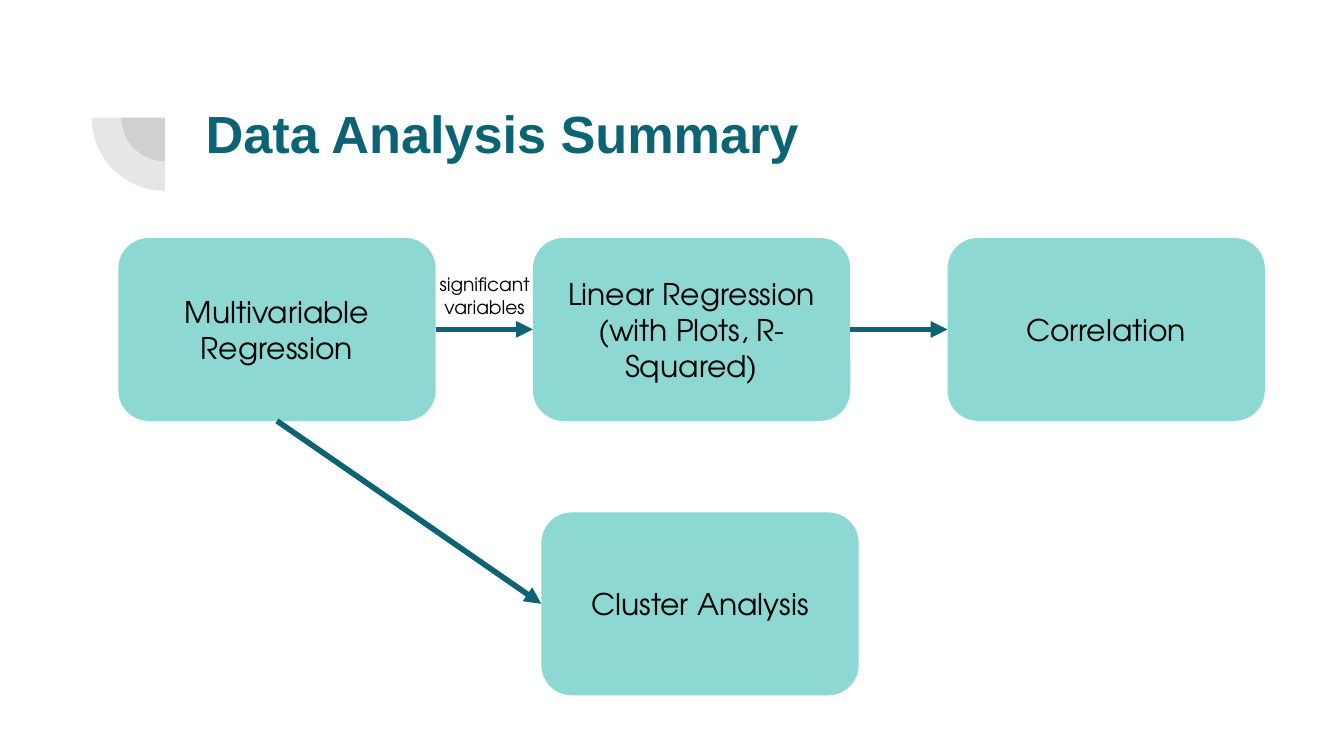
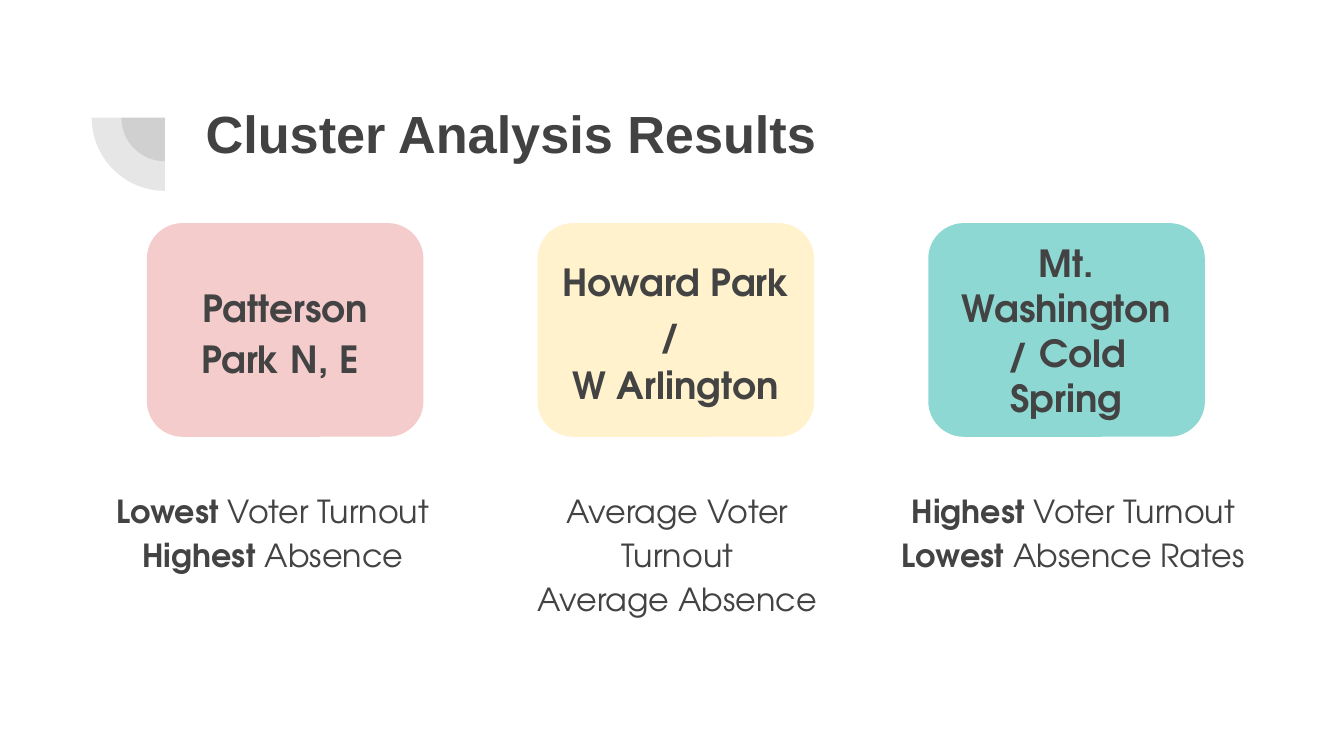
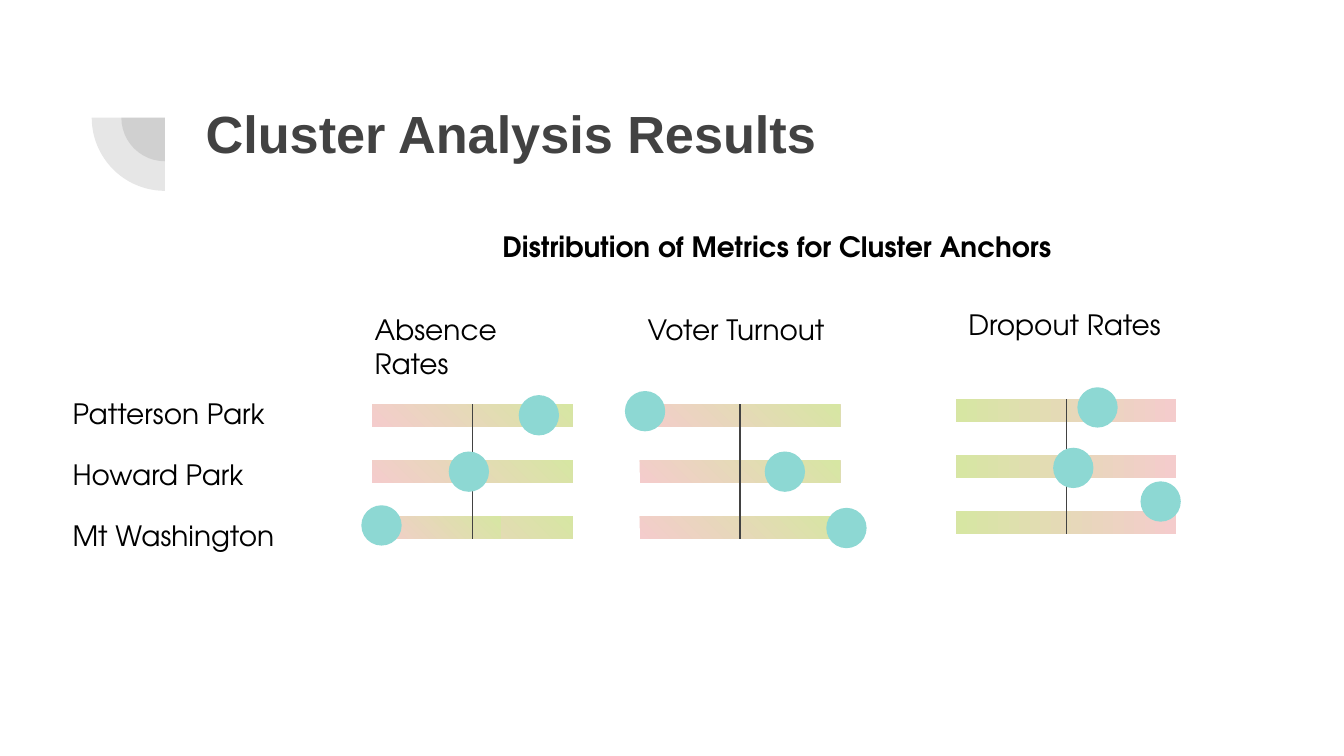
from lxml import etree
from pptx import Presentation
from pptx.dml.color import RGBColor
from pptx.enum.shapes import MSO_CONNECTOR, MSO_SHAPE
from pptx.enum.text import MSO_ANCHOR, PP_ALIGN
from pptx.oxml.ns import qn
from pptx.util import Pt

ROUNDED, RECTANGLE = MSO_SHAPE.ROUNDED_RECTANGLE, MSO_SHAPE.RECTANGLE
OVAL, PIE = MSO_SHAPE.OVAL, MSO_SHAPE.PIE
STRAIGHT = MSO_CONNECTOR.STRAIGHT
LEFT, CENTER = PP_ALIGN.LEFT, PP_ALIGN.CENTER
TOP, MIDDLE = MSO_ANCHOR.TOP, MSO_ANCHOR.MIDDLE
SIDE_LEFT, SIDE_BOTTOM, SIDE_RIGHT = 1, 2, 3

BLACK = RGBColor(0x00, 0x00, 0x00)
CHARCOAL = RGBColor(0x42, 0x42, 0x42)
GRAY = RGBColor(0x43, 0x43, 0x43)
PETROL = RGBColor(0x0B, 0x63, 0x74)
TEAL = RGBColor(0x8D, 0xD8, 0xD3)
PINK = RGBColor(0xF4, 0xCC, 0xCC)
CREAM = RGBColor(0xFF, 0xF2, 0xCC)
LIME = RGBColor(0xD7, 0xE6, 0xA3)

TITLE_FONT = "Arial"
BODY_FONT = "TeX Gyre Adventor"
MARGIN = Pt(7.2)
TITLE_ONLY = 5

BAR_HEIGHT, BAR_PITCH, DOT = 12, 30, 21.6


def write(frame, paragraphs, size, color, font=BODY_FONT, align=LEFT,
          anchor=TOP, spacing=None):
    """Fill a frame; each paragraph is a list of (text, bold), with line breaks as newlines."""
    frame.word_wrap = True
    frame.vertical_anchor = anchor
    frame.margin_left = frame.margin_right = MARGIN
    frame.margin_top = frame.margin_bottom = MARGIN
    for number, spans in enumerate(paragraphs):
        para = frame.add_paragraph() if number else frame.paragraphs[0]
        para.alignment = align
        if spacing:
            para.line_spacing = spacing
        for text, bold in spans:
            for row, piece in enumerate(text.split("\n")):
                if row:
                    para.add_line_break()
                if piece:
                    span = para.add_run()
                    span.text = piece
                    span.font.name = font
                    span.font.size = Pt(size)
                    span.font.bold = bold
                    span.font.color.rgb = color


def add_text(page, box, paragraphs, size, color=BLACK, **style):
    textbox = page.shapes.add_textbox(*map(Pt, box))
    write(textbox.text_frame, paragraphs, size, color, **style)


def add_shape(shapes, kind, box, color=None):
    shape = shapes.add_shape(kind, *map(Pt, box))
    shape.shadow.inherit = False
    shape.line.fill.background()
    if color is not None:
        shape.fill.solid()
        shape.fill.fore_color.rgb = color
    return shape


def add_card(page, box, color, paragraphs, size, text_color, **style):
    card = add_shape(page.shapes, ROUNDED, box, color)
    write(card.text_frame, paragraphs, size, text_color,
          align=CENTER, anchor=MIDDLE, **style)
    return card


def add_line(page, start, end, color, width):
    line = page.shapes.add_connector(STRAIGHT, *map(Pt, start + end))
    line.line.width = Pt(width)
    line.line.color.rgb = color
    etree.SubElement(line.element.spPr, qn("a:effectLst"))
    return line


def add_arrow(page, source, source_side, target):
    arrow = add_line(page, (0, 0), (0, 0), PETROL, 3)
    arrow.begin_connect(source, source_side)
    arrow.end_connect(target, SIDE_LEFT)
    outline = arrow.element.spPr.find(qn("a:ln"))
    etree.SubElement(outline, qn("a:tailEnd"), type="triangle")


def add_ornament(page, center_x, center_y):
    """Two translucent quarter circles around one centre."""
    group = page.shapes.add_group_shape()
    for size in (46.8, 78.5):
        box = (center_x - size / 2, center_y - size / 2, size, size)
        quarter = add_shape(group.shapes, PIE, box, CHARCOAL)
        quarter.adjustments[0] = 108
        quarter.adjustments[1] = 162
        quarter.rotation = 270
        tint = quarter.element.spPr.find(qn("a:solidFill"))[0]
        etree.SubElement(tint, qn("a:alpha"), val="13000")


def add_page(deck, heading, color):
    page = deck.slides.add_slide(deck.slide_layouts[TITLE_ONLY])
    title = page.shapes.title
    title.left, title.top, title.width, title.height = map(Pt, (103, 46.8, 553.7, 78.5))
    write(title.text_frame, [[(heading, True)]], 28, color, font=TITLE_FONT)
    add_ornament(page, 88.4, 63)
    return page


def summary_page(deck):
    page = add_page(deck, "Data Analysis Summary", PETROL)
    left, top, width, height, pitch = 63.4, 127.5, 170, 98, 222.1

    def step(text, x, y):
        return add_card(page, (x, y, width, height), TEAL, [[(text, False)]], 16, BLACK)

    names = ("Multivariable Regression", "Linear Regression (with Plots, R-Squared)",
             "Correlation")
    multiple, linear, correlation = [
        step(name, left + column * pitch, top) for column, name in enumerate(names)]
    cluster = step("Cluster Analysis", 290, 274.5)
    add_arrow(page, multiple, SIDE_RIGHT, linear)
    add_arrow(page, linear, SIDE_RIGHT, correlation)
    add_arrow(page, multiple, SIDE_BOTTOM, cluster)
    add_text(page, (224.6, 139, 70, 41.8), [[("significant variables", False)]], 10,
             align=CENTER)


def clusters_page(deck):
    page = add_page(deck, "Cluster Analysis Results", CHARCOAL)
    cards = (
        (PINK, 1.15, [[("Patterson Park N, E ", True)]]),
        (CREAM, 1.15, [[("Howard Park / ", True)], [("W Arlington", True)]]),
        (TEAL, None, [[("Mt. Washington / Cold Spring", True)]]),
    )
    for column, (color, spacing, label) in enumerate(cards):
        add_card(page, (78.7 + column * 209.3, 119.5, 148.2, 114.5), color, label,
                 20, GRAY, spacing=spacing)

    captions = (
        (53.3, 185.8, [[("Lowest", True), (" Voter Turnout\n", False),
                        ("Highest", True), (" Absence", False)]]),
        (270, 185.8, [[("Average Voter Turnout\nAverage Absence", False)]]),
        (473.8, 202.3, [[("Highest", True), (" Voter Turnout", False)],
                        [("Lowest", True), (" Absence Rates", False)]]),
    )
    for left, width, caption in captions:
        add_text(page, (left, 253.4, width, 92.2), caption, 17, GRAY,
                 align=CENTER, spacing=1.15)


def add_bar(page, left, top, width, angle):
    bar = add_shape(page.shapes, RECTANGLE, (left, top, width, BAR_HEIGHT))
    bar.fill.gradient()
    bar.fill.gradient_angle = angle
    for stop, color in zip(bar.fill.gradient_stops, (PINK, LIME)):
        stop.color.rgb = color


def add_metric(page, name, box, indent, angle, dots, overlay=None):
    """Three gradient bars with a centre line, and one dot per bar at an offset from the box."""
    left, top, width = box
    add_text(page, (left + indent, top - 56.2, 118.8, 33), [[(name, False)]], 15)
    for row in range(len(dots)):
        add_bar(page, left, top + row * BAR_PITCH, width, angle)
    if overlay:
        add_bar(page, left, top + 2 * BAR_PITCH, overlay, angle)
    middle = left + width / 2
    add_line(page, (middle, top), (middle, top + 2 * BAR_PITCH + BAR_HEIGHT), CHARCOAL, 0.75)
    for x, y in dots:
        add_shape(page.shapes, OVAL, (left + x, top + y, DOT, DOT), TEAL)


def metrics_page(deck):
    page = add_page(deck, "Cluster Analysis Results", CHARCOAL)
    add_text(page, (262, 116, 350.6, 33),
             [[("Distribution of Metrics for Cluster Anchors", True)]], 15)
    places = (("Patterson Park", 118.8), ("Howard Park", 118.8), ("Mt Washington", 131.8))
    for row, (place, width) in enumerate(places):
        add_text(page, (31.8, 205 + row * 32.9, width, 33), [[(place, False)]], 15)
    add_metric(page, "Absence Rates", (199.4, 216.7, 107.4), -5.8, 45,
               ((78.5, -5), (41, 25.2), (-5.8, 54)), overlay=69)
    add_metric(page, "Voter Turnout", (342.7, 216.7, 107.4), -2.9, 45,
               ((-7.9, -7.2), (67, 25.2), (100, 55.4)))
    add_metric(page, "Dropout Rates", (512.4, 214, 117.6), -0.7, 180,
               ((64.8, -6.5), (51.8, 25.9), (98.6, 43.9)))


def main():
    deck = Presentation()
    deck.slide_width, deck.slide_height = Pt(720), Pt(405)
    summary_page(deck)
    clusters_page(deck)
    metrics_page(deck)
    deck.save("out.pptx")


if __name__ == "__main__":
    main()
